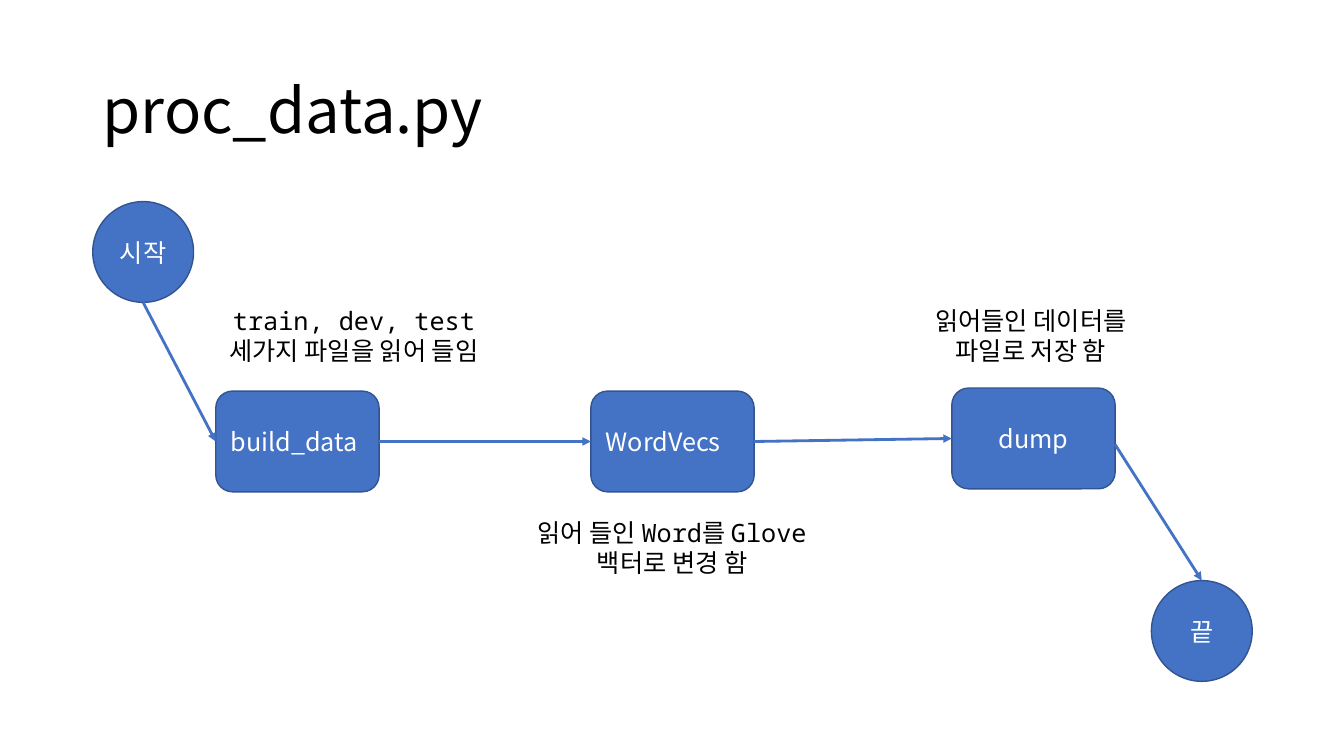
from pptx import Presentation
from pptx import util as u
from pptx.dml.color import RGBColor
from pptx.enum import shapes, text
from pptx.oxml.ns import qn
from lxml import etree

PX = 9144
SANS, MONO = "Noto Sans CJK KR", "Noto Sans Mono"
BLUE, EDGE, WHITE, BLACK = "4472C4", "325491", "FFFFFF", "000000"
KIND = shapes.MSO_SHAPE
LEFT, MID = text.PP_ALIGN.LEFT, text.PP_ALIGN.CENTER


def px(*vals):
    """Turn px lengths into EMU."""
    return [u.Emu(v * PX) for v in vals]


def color(code):
    """Make a colour from a hex string."""
    return RGBColor.from_string(code)


def write(frame, words, size=18, font=SANS, ink=BLACK, align=MID, space=None):
    """Fill a text frame, one paragraph for each line."""
    for i, line in enumerate(words.split("\n")):
        para = frame.paragraphs[0] if i == 0 else frame.add_paragraph()
        para.alignment = align
        if space:
            para.line_spacing = space
        run = para.add_run()
        run.text = line
        run.font.size = u.Pt(size)
        run.font.name = font
        run.font.color.rgb = color(ink)
        east = etree.SubElement(run.font._element, qn("a:ea"))
        east.set("typeface", SANS)


def title(slide, box, words):
    """Place the slide title in its box."""
    frame = slide.shapes.add_textbox(*px(*box)).text_frame
    frame.word_wrap = True
    frame.vertical_anchor = text.MSO_ANCHOR.MIDDLE
    write(frame, words, size=44, align=LEFT, space=0.9)


def node(slide, kind, box, words, align=MID):
    """Draw one step of the flow."""
    shape = slide.shapes.add_shape(kind, *px(*box))
    shape.shadow.inherit = False
    shape.fill.solid()
    shape.fill.fore_color.rgb = color(BLUE)
    shape.line.color.rgb = color(EDGE)
    shape.line.width = u.Pt(1)
    shape.text_frame.word_wrap = True
    shape.text_frame.vertical_anchor = text.MSO_ANCHOR.MIDDLE
    write(shape.text_frame, words, ink=WHITE, align=align)
    return shape


def note(slide, box, words):
    """Place a caption beside a step."""
    frame = slide.shapes.add_textbox(*px(*box)).text_frame
    frame.word_wrap = False
    frame.auto_size = text.MSO_AUTO_SIZE.SHAPE_TO_FIT_TEXT
    write(frame, words, font=MONO)


def arrow(slide, start, end, tail=None, head=None):
    """Draw an arrow, joined to the (shape, side) pairs given."""
    link = slide.shapes.add_connector(
        shapes.MSO_CONNECTOR.STRAIGHT, *px(*start, *end))
    if tail:
        link.begin_connect(*tail)
    if head:
        link.end_connect(*head)
    link.line.color.rgb = color(BLUE)
    link.line.width = u.Pt(2)
    tip = etree.SubElement(link.line._get_or_add_ln(), qn("a:tailEnd"))
    tip.set("type", "triangle")
    etree.SubElement(link._element.spPr, qn("a:effectLst"))


def flow(slide, box):
    """Draw the steps, arrows and captions within the box."""
    x, y, w, h = box
    dia, wide = 100, 162
    row = y + 188
    last = x + w - dia
    foot = y + h - dia
    begin = node(slide, KIND.OVAL, (x, y, dia, dia), "시작")
    build = node(slide, KIND.ROUNDED_RECTANGLE,
                 (x + 122, row, wide, dia), "build_data", LEFT)
    vecs = node(slide, KIND.ROUNDED_RECTANGLE,
                (x + 494, row, wide, dia), "WordVecs", LEFT)
    dump = node(slide, KIND.ROUNDED_RECTANGLE,
                (x + 852, row - 3, wide, dia), "dump")
    end = node(slide, KIND.OVAL, (last, foot, dia, dia), "끝")

    mid = row + dia // 2
    arrow(slide, (x + dia // 2, y + dia), (x + 122, mid), head=(build, 1))
    arrow(slide, (x + 284, mid), (x + 494, mid), (build, 3), (vecs, 1))
    arrow(slide, (x + 656, mid), (x + 852, mid - 3), (vecs, 3), (dump, 1))
    arrow(slide, (x + 1014, mid + 3), (last + dia // 2, foot), head=(end, 0))

    note(slide, (x + 100, y + 98, 318, 71),
         "train, dev, test\n세가지 파일을 읽어 들임")
    note(slide, (x + 410, y + 308, 329, 71),
         "읽어 들인 Word를 Glove\n백터로 변경 함")
    note(slide, (x + 812, y + 98, 237, 71),
         "읽어들인 데이터를\n파일로 저장 함")


def main():
    """Build and save the slide."""
    deck = Presentation()
    deck.slide_width, deck.slide_height = px(1333, 750)
    slide = deck.slides.add_slide(deck.slide_layouts[6])
    title(slide, (92, 40, 1150, 145), "proc_data.py")
    flow(slide, (92, 200, 1150, 476))
    deck.save("out.pptx")


if __name__ == "__main__":
    main()
